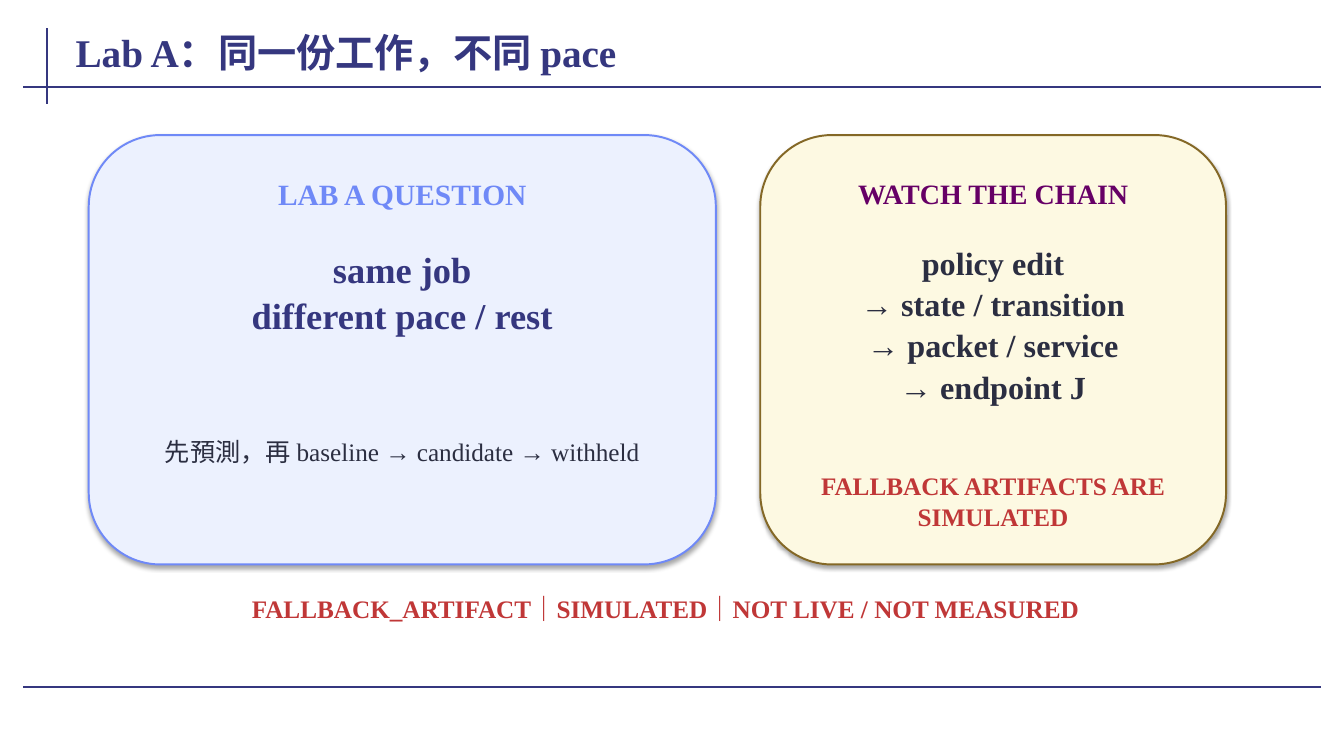
"""Builds the Lab A slide: same job, different pace."""
from lxml import etree
from pptx import Presentation
from pptx import util as u
from pptx.dml.color import RGBColor
from pptx.enum import shapes, text
from pptx.oxml.ns import qn

COLOURS = {
    "navy": "35377F", "ink": "2B2E41", "red": "C03737", "purple": "660066",
    "blue": "6F89F7", "pale blue": "ECF1FE", "gold": "846826", "cream": "FDF9E2",
}


def colour(name):
    """Return the named colour."""
    return RGBColor.from_string(COLOURS[name])


class LabSlide:
    """Holds the text style and the page being built."""

    font = "Times New Roman"

    def __init__(self, deck):
        """Add a title-only page to the deck."""
        self.page = deck.slides.add_slide(deck.slide_layouts[5])

    def fill_text(self, box, words, size, shade, bold, align):
        """Fill a box with one paragraph per line of words."""
        frame = box.text_frame
        frame.word_wrap = True
        frame.margin_left = frame.margin_right = u.Inches(0.08)
        frame.margin_top, frame.margin_bottom = u.Inches(0.03), u.Inches(0.02)
        frame.text = words
        for paragraph in frame.paragraphs:
            paragraph.alignment = align
            paragraph.space_before = u.Pt(0)
            paragraph.space_after = u.Pt(2)
            for span in paragraph.runs:
                span.font.name = self.font
                span.font.size = u.Pt(size)
                span.font.bold = bold
                span.font.color.rgb = colour(shade)

    def title(self, words):
        """Place and format the title placeholder."""
        box = self.page.shapes.title
        box.left, box.top, box.width, box.height = map(u.Inches, (0.67, 0.19, 12, 0.63))
        self.fill_text(box, words, 28, "navy", True, text.PP_ALIGN.LEFT)
        box.text_frame.auto_size = text.MSO_AUTO_SIZE.NONE
        box.text_frame.vertical_anchor = text.MSO_ANCHOR.MIDDLE

    def rule(self, *ends):
        """Draw a straight navy frame line."""
        line = self.page.shapes.add_connector(
            shapes.MSO_CONNECTOR.STRAIGHT, *map(u.Inches, ends))
        line.line.color.rgb = colour("navy")
        line.line.width = u.Pt(1.5)
        etree.SubElement(line._element.spPr, qn("a:effectLst"))

    def card(self, left, width, fill, edge):
        """Draw a rounded card with a soft shadow below it."""
        card = self.page.shapes.add_shape(
            shapes.MSO_SHAPE.ROUNDED_RECTANGLE,
            *map(u.Inches, (left, 1.34, width, 4.26)))
        card.fill.solid()
        card.fill.fore_color.rgb = colour(fill)
        card.line.color.rgb = colour(edge)
        card.line.width = u.Pt(1.4)
        card.shadow.inherit = False
        effects = card._element.spPr.find(qn("a:effectLst"))
        shadow = etree.SubElement(
            effects, qn("a:outerShdw"), blurRad=str(u.Pt(3.1)),
            dist=str(u.Pt(1.8)), dir="5400000", algn="ctr", rotWithShape="0")
        black = etree.SubElement(shadow, qn("a:srgbClr"), val="000000")
        etree.SubElement(black, qn("a:alpha"), val="35000")

    def label(self, place, words, size, shade, bold=True):
        """Add a centred text box."""
        box = self.page.shapes.add_textbox(*map(u.Inches, place))
        self.fill_text(box, words, size, shade, bold, text.PP_ALIGN.CENTER)
        box.text_frame.auto_size = text.MSO_AUTO_SIZE.SHAPE_TO_FIT_TEXT


def main():
    """Build and save the deck."""
    deck = Presentation()
    deck.slide_width, deck.slide_height = u.Inches(13.33), u.Inches(7.5)
    slide = LabSlide(deck)

    slide.rule(0.47, 0.28, 0.47, 1.03)
    for height in (0.86, 6.82):
        slide.rule(0.23, height, 13.1, height)
    slide.title("Lab A：同一份工作，不同 pace")

    slide.card(0.88, 6.22, "pale blue", "blue")
    slide.label((1.2, 1.72, 5.58, 0.34), "LAB A QUESTION", 21, "blue")
    slide.label((1.18, 2.42, 5.62, 1.3), "same job\ndifferent pace / rest", 26, "navy")
    slide.label((1.24, 4.3, 5.5, 0.66),
                "先預測，再 baseline → candidate → withheld", 18, "ink", bold=False)

    slide.card(7.54, 4.62, "cream", "gold")
    slide.label((7.84, 1.72, 4.02, 0.34), "WATCH THE CHAIN", 20, "purple")
    chain = ("policy edit", "state / transition", "packet / service", "endpoint J")
    slide.label((7.88, 2.38, 3.94, 1.62), "\n→ ".join(chain), 23, "ink")
    slide.label((7.9, 4.64, 3.9, 0.42), "FALLBACK ARTIFACTS ARE SIMULATED", 18, "red")

    slide.label((0.92, 5.86, 11.36, 0.3),
                "FALLBACK_ARTIFACT｜SIMULATED｜NOT LIVE / NOT MEASURED", 18, "red")
    deck.save("out.pptx")


if __name__ == "__main__":
    main()
